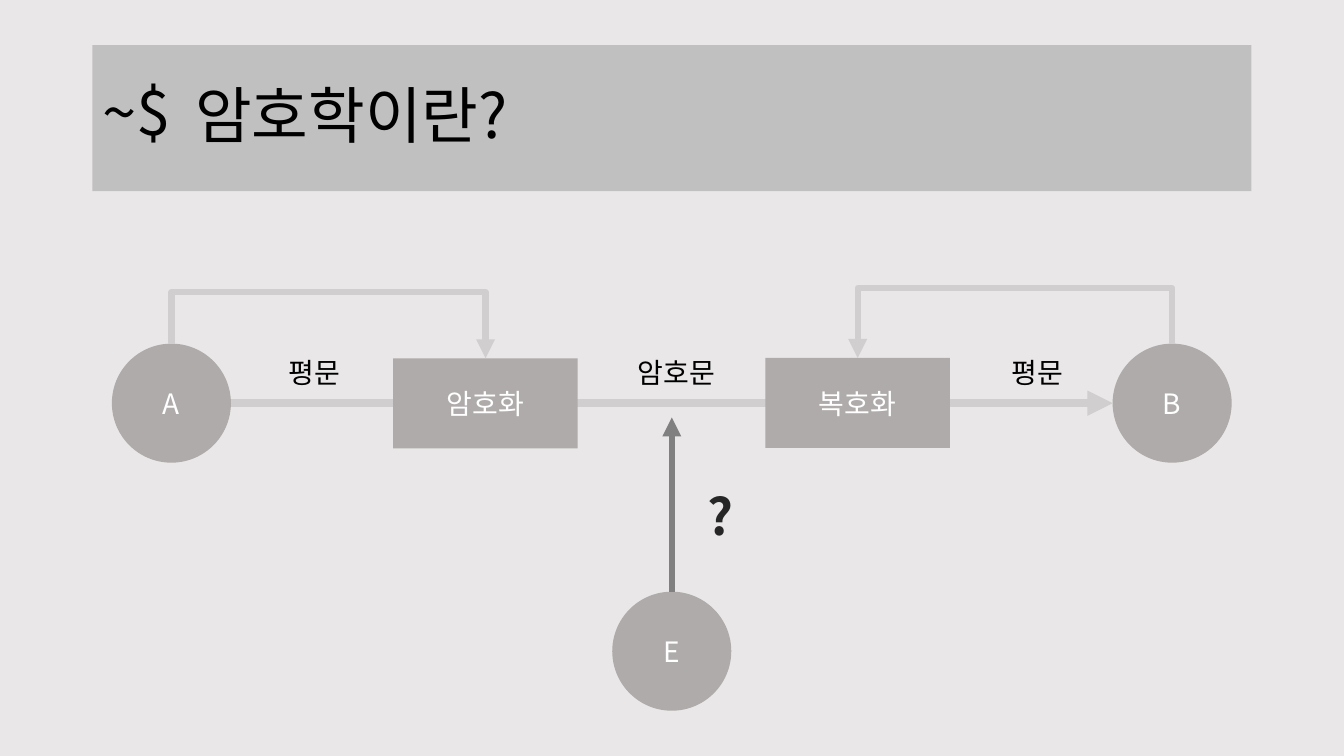
from lxml import etree
from pptx import Presentation
from pptx.dml.color import RGBColor
from pptx.enum import shapes, text
from pptx.oxml import ns
from pptx.util import Cm, Pt

FONT = "Noto Sans CJK KR"
NODE, FLOW, ATTACK = "AFABAB", "D0CECE", "808080"
NODE_SIZE = 3.0
STEP_WIDTH, STEP_HEIGHT = 4.65, 2.27
LABEL_WIDTH, LABEL_HEIGHT = 4.37, 1.12


def color(value):
    return RGBColor.from_string(value)


def write(shape, words, size, ink, align=text.PP_ALIGN.CENTER, bold=False):
    paragraph = shape.text_frame.paragraphs[0]
    paragraph.alignment = align
    run = paragraph.add_run()
    run.text = words
    run.font.size, run.font.bold = Pt(size), bold
    run.font.name = FONT
    run.font.color.rgb = color(ink)
    east_asian = etree.SubElement(run._r.get_or_add_rPr(), ns.qn("a:ea"))
    east_asian.set("typeface", FONT)
    return paragraph


def add_label(slide, box, words, size=20, ink="000000", wrap=True, **style):
    label = slide.shapes.add_textbox(*map(Cm, box))
    label.text_frame.word_wrap = wrap
    write(label, words, size, ink, **style)


def add_block(slide, kind, box, fill):
    block = slide.shapes.add_shape(kind, *map(Cm, box))
    block.shadow.inherit = False
    block.fill.solid()
    block.fill.fore_color.rgb = color(fill)
    block.line.fill.background()
    block.text_frame.word_wrap = True
    block.text_frame.vertical_anchor = text.MSO_ANCHOR.MIDDLE
    return block


def add_node(slide, center_x, center_y, name):
    box = (center_x - NODE_SIZE / 2, center_y - NODE_SIZE / 2, NODE_SIZE, NODE_SIZE)
    node = add_block(slide, shapes.MSO_SHAPE.OVAL, box, NODE)
    write(node, name, 20, "FFFFFF")
    return node


def add_step(slide, left, top, name):
    box = (left, top, STEP_WIDTH, STEP_HEIGHT)
    step = add_block(slide, shapes.MSO_SHAPE.RECTANGLE, box, NODE)
    write(step, name, 20, "FFFFFF")
    return step


def add_arrow(slide, start, end, ink, width, kind=shapes.MSO_CONNECTOR.STRAIGHT):
    arrow = slide.shapes.add_connector(kind, *map(Cm, start + end))
    arrow.line.color.rgb = color(ink)
    arrow.line.width = Pt(width)
    head = etree.SubElement(arrow.line._get_or_add_ln(), ns.qn("a:tailEnd"))
    head.set("type", "triangle")
    etree.SubElement(arrow._element.spPr, ns.qn("a:effectLst"))
    return arrow


def add_key_arrow(slide, node, step, rise):
    """Elbow from the top of a node, up by rise, then down to the top of a step."""
    start_x, end_x = node.left + node.width // 2, step.left + step.width // 2
    drop, span = step.top - node.top, abs(end_x - start_x)
    arrow = add_arrow(slide, (0, 0), (1, 1), FLOW, 4.5, shapes.MSO_CONNECTOR.ELBOW)
    arrow.begin_connect(node, 0)
    arrow.end_connect(step, 0)
    # The elbow is stored lying on its side, so its box is turned about its centre
    arrow.left = (start_x + end_x - drop) // 2
    arrow.top = (node.top + step.top - span) // 2
    arrow.width, arrow.height = drop, span
    properties = arrow._element.spPr
    frame = properties.find(ns.qn("a:xfrm"))
    frame.set("rot", "16200000")
    frame.set("flipH", "1")
    frame.set("flipV", "1" if end_x < start_x else "0")
    guides = properties.find(ns.qn("a:prstGeom")).find(ns.qn("a:avLst"))
    guide = etree.SubElement(guides, ns.qn("a:gd"))
    guide.set("name", "adj1")
    guide.set("fmla", f"val {round(-Cm(rise) / drop * 100000)}")


def add_title(slide, left, top, width, height):
    # Prompt sign behind the translucent bar
    left_align = text.PP_ALIGN.LEFT
    add_label(slide, (left, top + 0.61, 5.33, 2.13), "~$", 44, align=left_align)
    bar = add_block(slide, shapes.MSO_SHAPE.RECTANGLE, (left, top, width, height), "000000")
    black = bar._element.spPr.find(ns.qn("a:solidFill"))[0]
    etree.SubElement(black, ns.qn("a:alpha")).set("val", "17000")
    bar.text_frame.margin_left = Cm(2.59)
    write(bar, "암호학이란?", 44, "000000", left_align).line_spacing = 0.9


def add_diagram(slide, left, top, width, height):
    radius = NODE_SIZE / 2
    middle, right = left + width / 2, left + width
    axis, bottom = top + radius, top + height

    # People and the line of the message
    sender = add_node(slide, left + radius, axis, "A")
    receiver = add_node(slide, right - radius, axis, "B")
    add_node(slide, middle, bottom - radius, "E")
    add_arrow(slide, (left + NODE_SIZE, axis), (right - NODE_SIZE, axis), FLOW, 6)

    # Steps, with the key arrows into them
    encrypt = add_step(slide, left + 7.09, top + 0.37, "암호화")
    decrypt = add_step(slide, left + 16.47, top + 0.36, "복호화")
    add_key_arrow(slide, sender, encrypt, 1.3)
    add_key_arrow(slide, receiver, decrypt, 1.4)

    # Text states above the line
    for offset, words in ((2.92, "평문"), (12.04, "암호문"), (21.13, "평문")):
        add_label(slide, (left + offset, top + 0.18, LABEL_WIDTH, LABEL_HEIGHT), words)

    # Eavesdropper
    add_arrow(slide, (middle, bottom - NODE_SIZE), (middle, axis + 0.36), ATTACK, 4.5)
    add_label(slide, (middle + 0.65, top + 3.43, 1.09, 1.8), "?", 36, "262626",
              wrap=False, align=text.PP_ALIGN.LEFT, bold=True)


def main():
    presentation = Presentation()
    presentation.slide_width, presentation.slide_height = Cm(33.87), Cm(19.05)
    slide = presentation.slides.add_slide(presentation.slide_layouts[6])
    slide.background.fill.solid()
    slide.background.fill.fore_color.rgb = color("E9E7E7")
    add_title(slide, 2.33, 1.14, 29.21, 3.68)
    add_diagram(slide, 2.82, 8.66, 28.22, 9.25)
    presentation.save("out.pptx")


if __name__ == "__main__":
    main()
